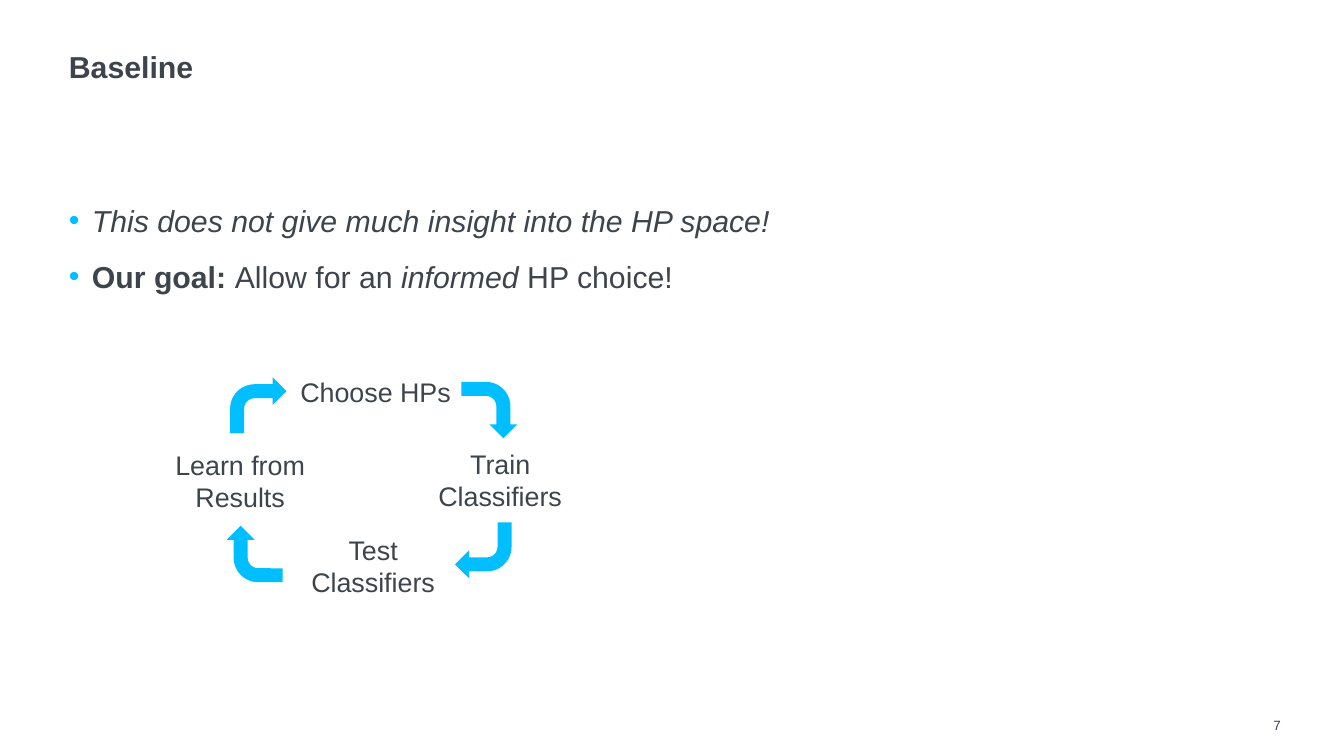
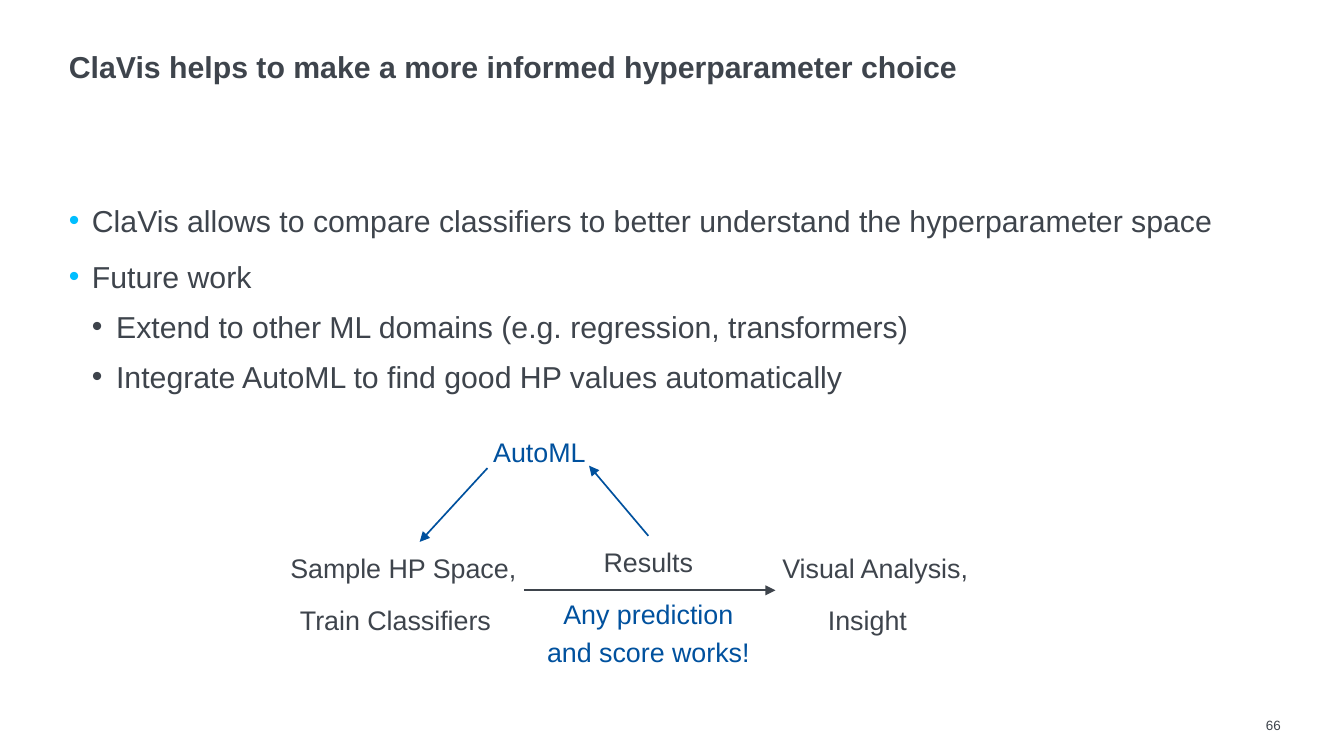
from lxml import etree
from pptx import Presentation
from pptx.dml.color import RGBColor
from pptx.enum.shapes import MSO_CONNECTOR, MSO_SHAPE
from pptx.enum.text import PP_ALIGN
from pptx.oxml.ns import qn
from pptx.util import Inches, Pt

SLIDE_WIDTH, SLIDE_HEIGHT = Inches(11.11), Inches(6.25)
COLORS = {"text": "3E444C", "accent": "00BEFF", "automl": "00519E"}
MARGINS = {"margin_left": 0, "margin_right": 0, "margin_top": 0,
           "margin_bottom": 0, "word_wrap": True}
TITLE = {"line_spacing": 0.9}
PAGE_NUMBER = {"alignment": PP_ALIGN.RIGHT}
STEP = {"alignment": PP_ALIGN.CENTER}
STAGE = {"alignment": PP_ALIGN.CENTER, "line_spacing": 1.2}
BULLET_LEVELS = [
    {"left": 0.19, "hanging": 0.19, "color": "accent", "before": 7.5},
    {"left": 0.39, "hanging": 0.2, "color": "text", "before": 3.8},
]
STAGE_GAP = 7.5
CONTENT_LEFT, CONTENT_WIDTH = 5.13, 90.2
ARROW_WIDTH, ARROW_HEIGHT = 4.2, 7.4


def across(percent):
    return round(SLIDE_WIDTH * percent / 100)


def down(percent):
    return round(SLIDE_HEIGHT * percent / 100)


def apply_format(target, values):
    for attribute, value in values.items():
        setattr(target, attribute, value)


def rgb(color):
    return RGBColor.from_string(COLORS[color])


def add_frame(slide, left, top, width, height):
    frame = slide.shapes.add_textbox(
        across(left), down(top), across(width), down(height)).text_frame
    apply_format(frame, MARGINS)
    return frame


def next_paragraph(frame, index):
    return frame.add_paragraph() if index else frame.paragraphs[0]


def add_run(paragraph, text, size, color="text", **style):
    run = paragraph.add_run()
    run.text = text
    apply_format(run.font, {"name": "Arial", "size": Pt(size), **style})
    run.font.color.rgb = rgb(color)


def add_line_of_text(slide, box, text, size, layout, **style):
    paragraph = add_frame(slide, *box).paragraphs[0]
    apply_format(paragraph, layout)
    add_run(paragraph, text, size, **style)


def add_base_slide(deck, title, number):
    slide = deck.slides.add_slide(deck.slide_layouts[6])
    add_line_of_text(slide, (CONTENT_LEFT, 6.88, CONTENT_WIDTH, 10), title, 18,
                     TITLE, bold=True)
    add_line_of_text(slide, (92.9, 94.88, 2.4, 2.1), number, 8, PAGE_NUMBER)
    return slide


def set_bullet(paragraph, level):
    properties = paragraph._p.get_or_add_pPr()
    properties.set("marL", str(Inches(level["left"])))
    properties.set("indent", str(-Inches(level["hanging"])))
    bullet_color = etree.SubElement(properties, qn("a:buClr"))
    etree.SubElement(bullet_color, qn("a:srgbClr"), val=COLORS[level["color"]])
    etree.SubElement(properties, qn("a:buFont"), typeface="Arial")
    etree.SubElement(properties, qn("a:buChar"), char="•")


def add_bullets(slide, height, items):
    frame = add_frame(slide, CONTENT_LEFT, 25.76, CONTENT_WIDTH, height)
    for index, (depth, runs) in enumerate(items):
        level = BULLET_LEVELS[depth]
        paragraph = next_paragraph(frame, index)
        set_bullet(paragraph, level)
        apply_format(paragraph, {"level": depth, "line_spacing": 1.2})
        if index:
            paragraph.space_before = Pt(level["before"])
        for text, style in runs:
            add_run(paragraph, text, 18, **style)


def add_label(slide, center, top, width, lines, layout, shift=0):
    frame = add_frame(slide, center - width / 2, top, width, 8.6 * len(lines))
    for index, (text, color) in enumerate(lines):
        paragraph = next_paragraph(frame, index)
        apply_format(paragraph, layout)
        if index:
            paragraph.space_before = Pt(STAGE_GAP)
        elif shift:
            paragraph._p.get_or_add_pPr().set("marL", str(Inches(shift)))
        add_run(paragraph, text, 16, color)


def add_cycle_arrow(slide, center, middle, rotation):
    arrow = slide.shapes.add_shape(
        MSO_SHAPE.BENT_ARROW,
        across(center - ARROW_WIDTH / 2), down(middle - ARROW_HEIGHT / 2),
        across(ARROW_WIDTH), down(ARROW_HEIGHT))
    arrow.rotation = rotation
    arrow.shadow.inherit = False
    arrow.fill.solid()
    arrow.fill.fore_color.rgb = rgb("accent")
    arrow.line.fill.background()


def add_flow_arrow(slide, start, end, color):
    arrow = slide.shapes.add_connector(
        MSO_CONNECTOR.STRAIGHT, across(start[0]), down(start[1]),
        across(end[0]), down(end[1]))
    arrow.line.color.rgb = rgb(color)
    arrow.line.width = Pt(1)
    etree.SubElement(arrow.line._get_or_add_ln(), qn("a:tailEnd"), type="triangle")
    etree.SubElement(arrow._element.spPr, qn("a:effectLst"))


def build_baseline(deck):
    slide = add_base_slide(deck, "Baseline", "7")
    add_bullets(slide, 16, [
        (0, [("This does not give much insight into the HP space!", {"italic": True})]),
        (0, [("Our goal: ", {"bold": True}), ("Allow for an ", {}),
             ("informed ", {"italic": True}), ("HP choice!", {})]),
    ])
    arrow_centers = [(19.22, 53.6), (36.41, 54.24), (35.96, 72.8), (18.95, 73.28)]
    for turn, (center, middle) in enumerate(arrow_centers):
        add_cycle_arrow(slide, center, middle, turn * 90)
    for center, top, step, layout in [
        (27.95, 48.8, "Choose HPs", STAGE),
        (37.22, 59.2, "Train Classifiers", STEP),
        (27.77, 70.56, "Test Classifiers", STEP),
        (17.87, 59.36, "Learn from Results", STEP),
    ]:
        add_label(slide, center, top, 12.9, [(step, "text")], layout)


def build_conclusion(deck):
    slide = add_base_slide(
        deck, "ClaVis helps to make a more informed hyperparameter choice", "66")
    add_bullets(slide, 28, [(depth, [(text, {})]) for depth, text in [
        (0, "ClaVis allows to compare classifiers to better understand "
            "the hyperparameter space"),
        (0, "Future work"),
        (1, "Extend to other ML domains (e.g. regression, transformers)"),
        (1, "Integrate AutoML to find good HP values automatically"),
    ]])
    for center, top, width, shift, lines in [
        (40.14, 56.8, 10.8, 0, [("AutoML", "automl")]),
        (29.43, 72.16, 19.3, 0.13,
         [("Sample HP Space,", "text"), ("Train Classifiers", "text")]),
        (48.24, 71.36, 16, 0,
         [("Results", "text"), ("Any prediction and score works!", "automl")]),
        (64.54, 72.16, 16.5, 0.13,
         [("Visual Analysis,", "text"), ("Insight", "text")]),
    ]:
        add_label(slide, center, top, width, lines, STAGE, shift)
    for start, end, color in [
        ((48.24, 70.88), (43.83, 61.6), "automl"),
        ((36.27, 61.92), (31.23, 71.68), "automl"),
        ((38.97, 78.08), (57.7, 78.08), "text"),
    ]:
        add_flow_arrow(slide, start, end, color)


def main():
    deck = Presentation()
    apply_format(deck, {"slide_width": SLIDE_WIDTH, "slide_height": SLIDE_HEIGHT})
    build_baseline(deck)
    build_conclusion(deck)
    deck.save("out.pptx")


if __name__ == "__main__":
    main()
